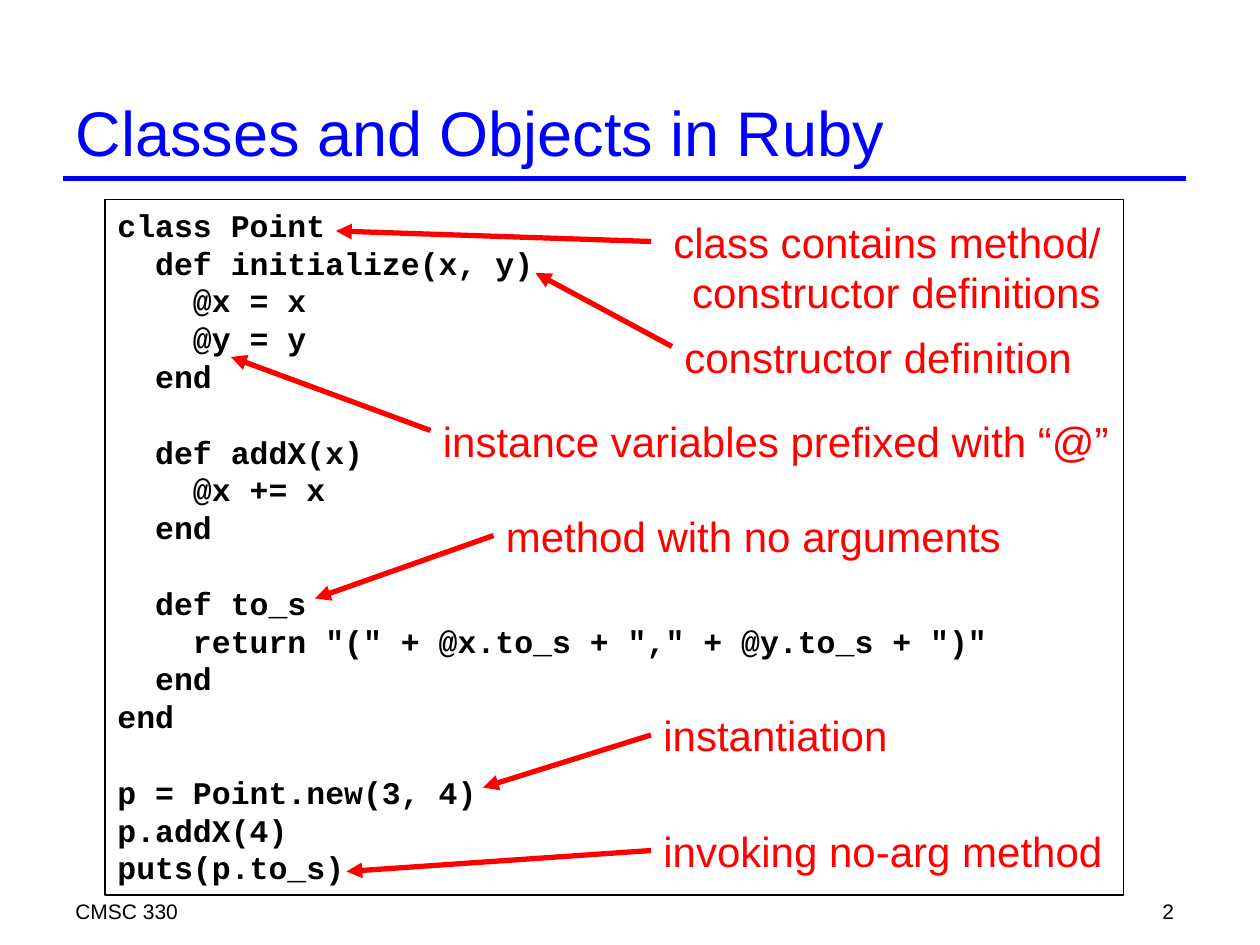
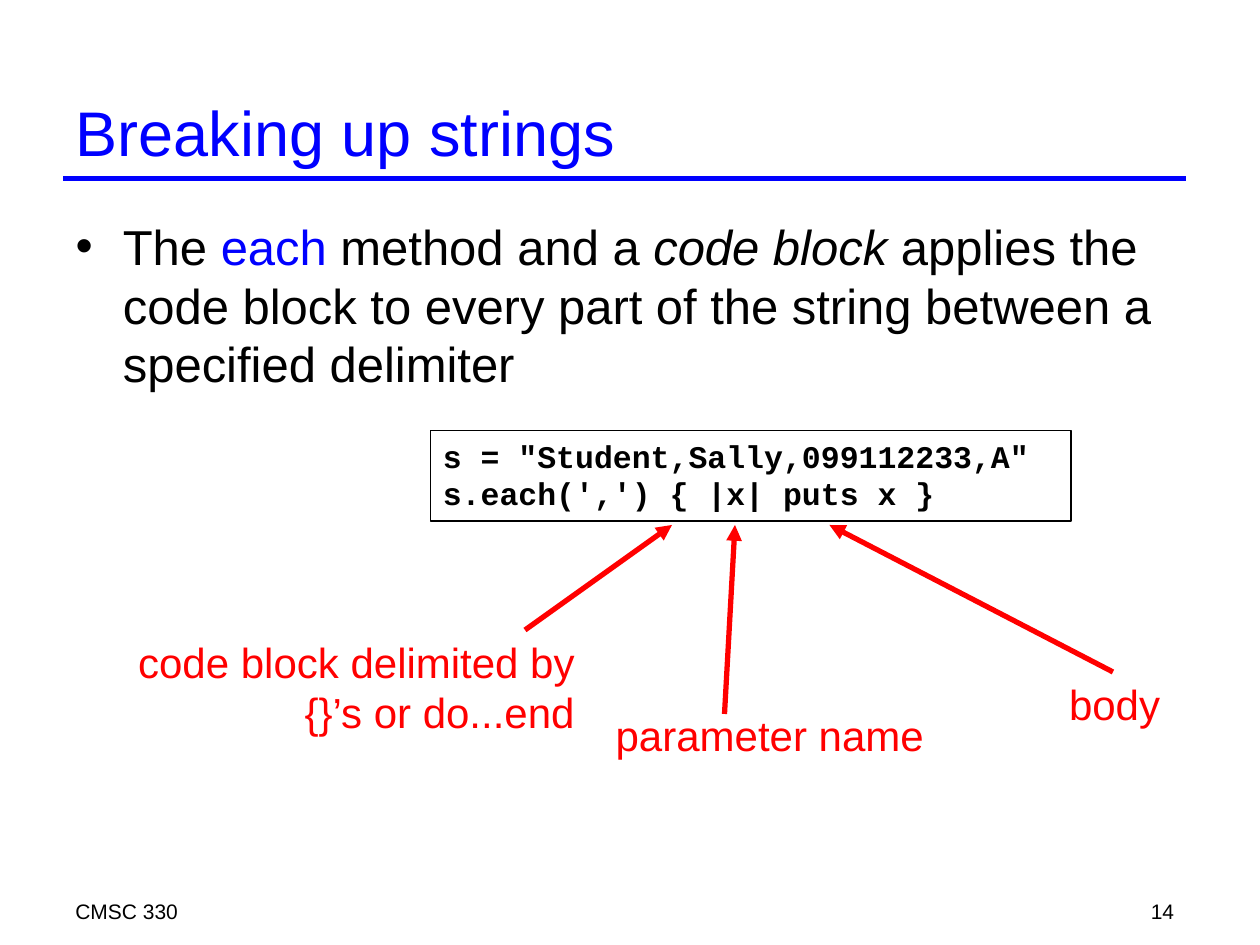
from lxml.etree import SubElement
from pptx import Presentation
from pptx.dml.color import RGBColor
from pptx.enum.shapes import MSO_CONNECTOR, MSO_SHAPE
from pptx.enum.text import MSO_ANCHOR, MSO_AUTO_SIZE, PP_ALIGN as Align
from pptx.oxml.ns import qn
from pptx.util import Pt

BLUE, RED, BLACK = "0000FF", "FF0000", "000000"
LEFT, RIGHT = 36, 678
WIDTH = RIGHT - LEFT
COURSE = "CMSC 330"
LINE_FACTOR = 1.2
INSET = 3.6
TITLE_ONLY, TITLE_AND_BODY = 5, 1

POINT_CLASS = """\
class Point
  def initialize(x, y)
    @x = x
    @y = y
  end

  def addX(x)
    @x += x
  end

  def to_s
    return "(" + @x.to_s + "," + @y.to_s + ")"
  end
end

p = Point.new(3, 4)
p.addX(4)
puts(p.to_s)"""

SPLIT_CODE = """\
s = "Student,Sally,099112233,A"
s.each(',') { |x| puts x }"""

# Label: text lines, (left, top, width), alignment, arrow start, arrow end
SLIDES = [
    {
        "title": "Classes and Objects in Ruby",
        "number": 2,
        "code": (POINT_CLASS, (60, 114, 582, 397.4)),
        "labels": [
            (["constructor definition"], (384, 186, 236), Align.LEFT, (384, 198), (306, 156)),
            (["class contains method/", "constructor definitions"],
             (377.5, 120, 258.5), Align.RIGHT, (372, 138), (192, 132)),
            (["instance variables prefixed with “@”"],
             (246, 234, 395.3), Align.LEFT, (246, 246), (132, 204)),
            (["method with no arguments"], (282, 288, 297.4), Align.LEFT, (282, 306), (180, 342)),
            (["instantiation"], (372, 402, 142.6), Align.LEFT, (372, 420), (276, 450)),
            (["invoking no-arg method"], (372, 468, 265.7), Align.LEFT, (372, 486), (198, 498)),
        ],
    },
    {
        "title": "Breaking up strings",
        "number": 14,
        "body": [
            ("The ", BLACK, False),
            ("each", BLUE, False),
            (" method and a ", BLACK, False),
            ("code block ", BLACK, True),
            ("applies the code block to every part of the string between a "
             "specified delimiter", BLACK, False),
        ],
        "code": (SPLIT_CODE, (246, 246, 366, 52)),
        "labels": [
            (["code block delimited by", "{}’s or do...end"],
             (71.5, 360, 264), Align.RIGHT, (300, 360), (384, 300)),
            (["parameter name"], (344, 402, 191), Align.RIGHT, (414, 408), (420, 300)),
            (["body"], (594, 384, 76), Align.RIGHT, (636, 384), (474, 300)),
        ],
    },
]


def color(value):
    return RGBColor.from_string(value)


def points(*values):
    return [Pt(value) for value in values]


def style(para, size, shade=None, name="Arial", bold=False, align=Align.LEFT):
    para.alignment = align
    para.line_spacing = Pt(size * LINE_FACTOR)
    para.space_before = Pt(0)
    para.font.name, para.font.size, para.font.bold = name, Pt(size), bold
    if shade:
        para.font.color.rgb = color(shade)


def write_lines(frame, lines, size, shade, **options):
    """Write one paragraph per line; an empty line becomes space before the next."""
    gap, para = 0, None
    for line in lines:
        if not line:
            gap += size * LINE_FACTOR
            continue
        para = frame.add_paragraph() if para else frame.paragraphs[0]
        para.text = line
        style(para, size, shade, **options)
        para.space_before = Pt(gap)
        gap = 0


def add_text(slide, lines, place, size, shade, wrap=True, align=Align.LEFT):
    frame = slide.shapes.add_textbox(*points(*place)).text_frame
    frame.word_wrap = wrap
    write_lines(frame, lines, size, shade, align=align)


def add_line(slide, start, end, shade, arrow=False):
    line = slide.shapes.add_connector(MSO_CONNECTOR.STRAIGHT, *points(*start, *end))
    line.line.color.rgb = color(shade)
    line.line.width = Pt(3)
    if arrow:
        SubElement(line.line._get_or_add_ln(), qn("a:tailEnd"), type="triangle")
    SubElement(line._element.spPr, qn("a:effectLst"))


def place_placeholder(shape, place, anchor):
    shape.left, shape.top, shape.width, shape.height = points(*place)
    frame = shape.text_frame
    frame.auto_size = MSO_AUTO_SIZE.NONE
    frame.vertical_anchor = anchor
    return frame


def add_frame(slide, title, number):
    """Add the title, the rule below it and the footer."""
    frame = place_placeholder(slide.shapes.title, (LEFT, 48, WIDTH, 54), MSO_ANCHOR.MIDDLE)
    write_lines(frame, [title], 36, BLUE)
    add_line(slide, (LEFT, 102), (RIGHT, 102), BLUE)
    add_text(slide, [COURSE], (LEFT, 510, 438, 18), 12, BLACK)
    add_text(slide, [str(number)], (528, 510, 150, 18), 12, BLACK, align=Align.RIGHT)


def add_body(slide, spans):
    frame = place_placeholder(slide.placeholders[1], (LEFT, 120, WIDTH, 384), MSO_ANCHOR.TOP)
    para = frame.paragraphs[0]
    style(para, 28)
    for text, shade, italic in spans:
        span = para.add_run()
        span.text = text
        span.font.color.rgb = color(shade)
        span.font.italic = italic


def add_code(slide, code, place):
    box = slide.shapes.add_shape(MSO_SHAPE.RECTANGLE, *points(*place))
    box.shadow.inherit = False
    box.fill.background()
    box.line.color.rgb = color(BLACK)
    box.line.width = Pt(1)
    frame = box.text_frame
    frame.word_wrap = True
    frame.vertical_anchor = MSO_ANCHOR.TOP
    write_lines(frame, code.splitlines(), 18, BLACK, name="Courier New", bold=True)


def add_label(slide, lines, place, align, start, end):
    size = 24
    height = 2 * INSET + len(lines) * size * LINE_FACTOR
    add_text(slide, lines, (*place, height), size, RED, wrap=False, align=align)
    add_line(slide, start, end, RED, arrow=True)


def main():
    deck = Presentation()
    deck.slide_width, deck.slide_height = points(720, 540)
    for content in SLIDES:
        layout = TITLE_AND_BODY if "body" in content else TITLE_ONLY
        slide = deck.slides.add_slide(deck.slide_layouts[layout])
        add_frame(slide, content["title"], content["number"])
        if "body" in content:
            add_body(slide, content["body"])
        add_code(slide, *content["code"])
        for label in content["labels"]:
            add_label(slide, *label)
    deck.save("out.pptx")


if __name__ == "__main__":
    main()
